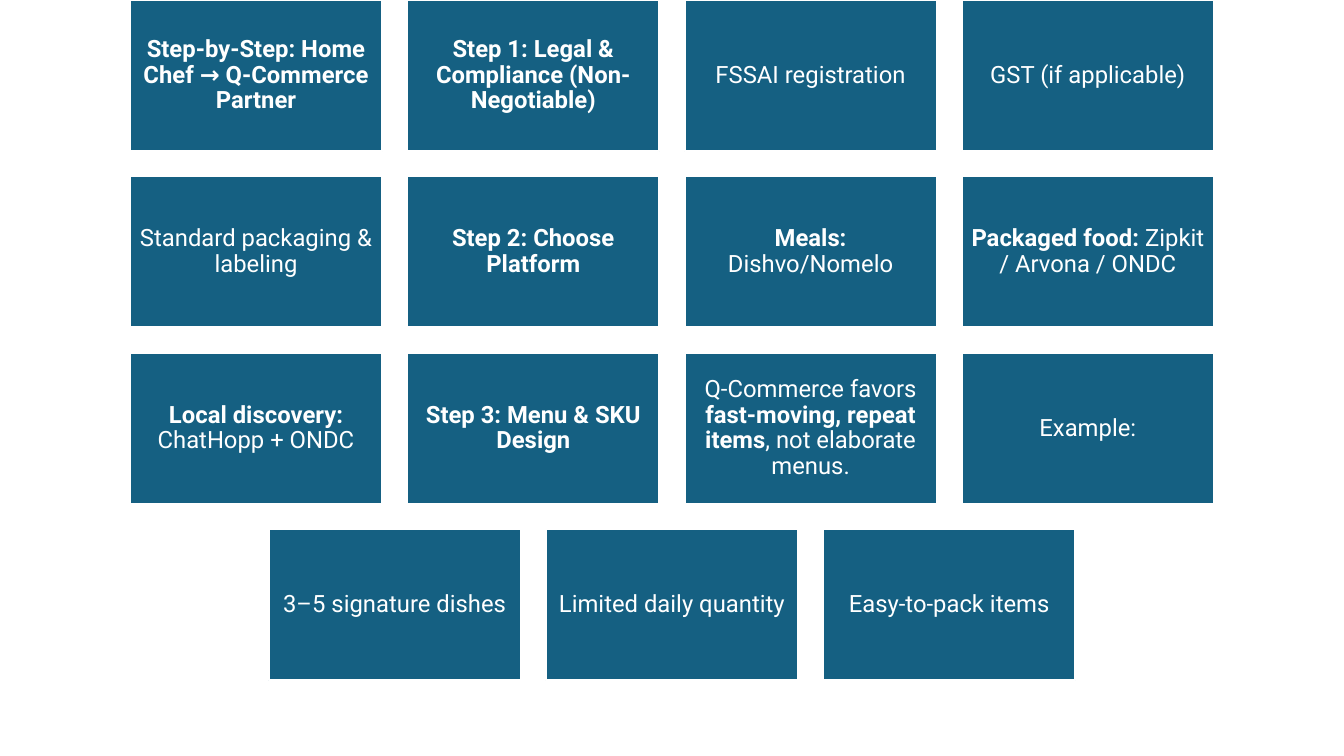
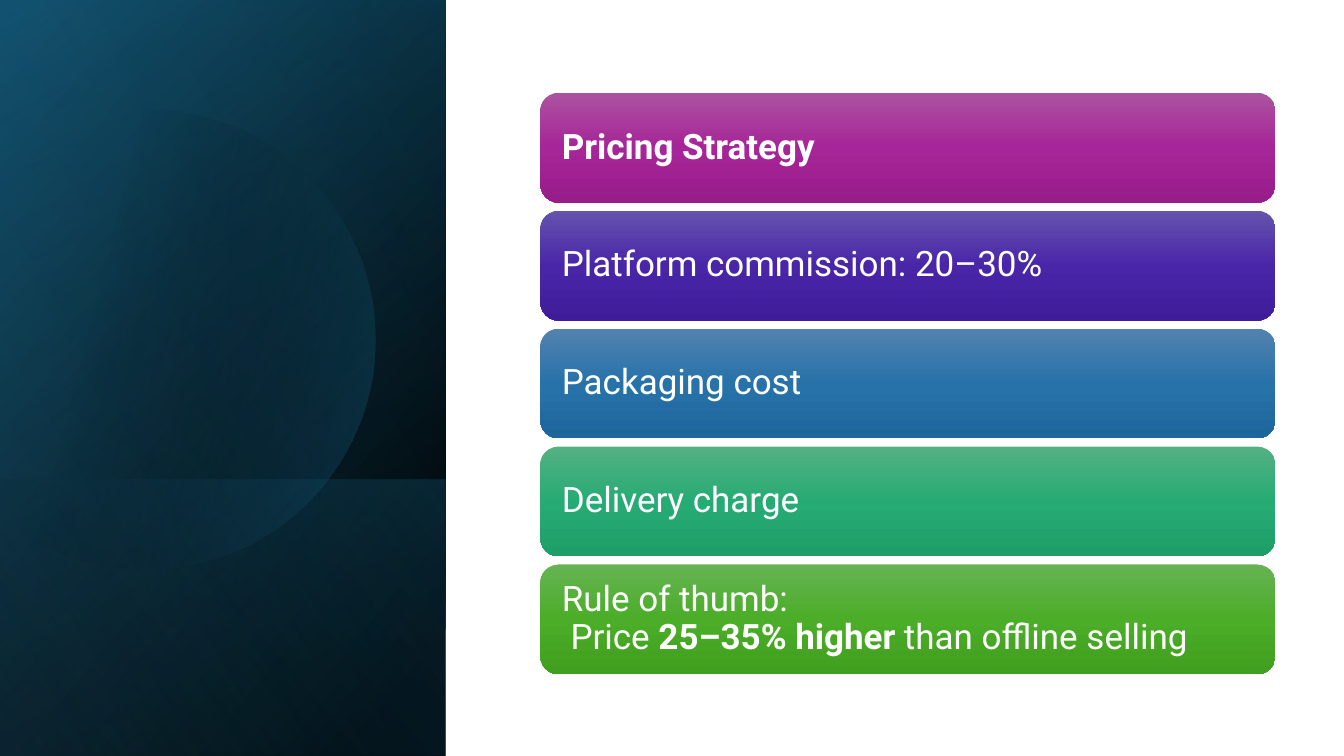
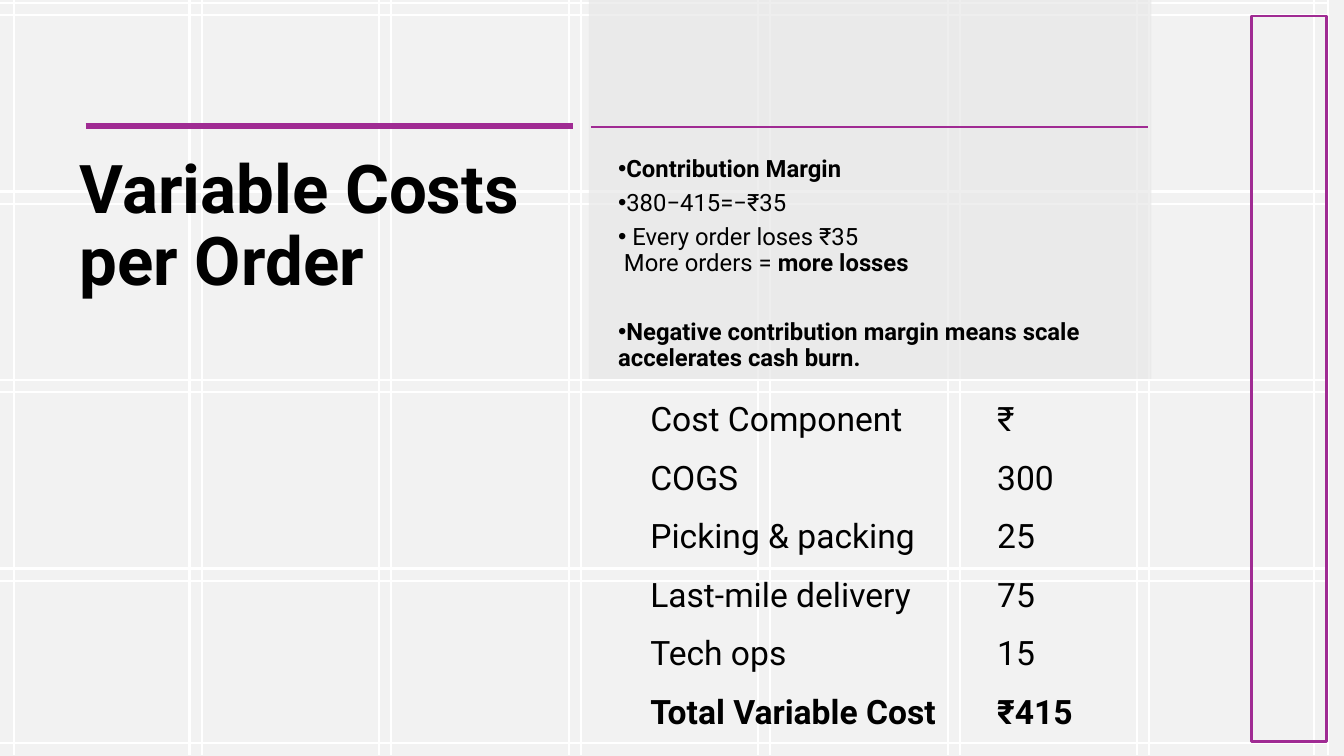
"""Build three slides on home chefs in quick commerce: steps, pricing and unit costs."""

from dataclasses import dataclass
from math import acos, cos, sin

from lxml.etree import SubElement
from pptx import Presentation
from pptx.dml.color import RGBColor
from pptx.enum.shapes import MSO_CONNECTOR, MSO_SHAPE
from pptx.enum.text import MSO_ANCHOR, MSO_AUTO_SIZE, PP_ALIGN
from pptx.oxml import parse_xml
from pptx.oxml.ns import nsdecls, qn
from pptx.util import Inches, Pt


@dataclass(frozen=True)
class Theme:
    font: str = "Roboto"
    white: str = "FFFFFF"
    black: str = "000000"
    blue: str = "156082"
    navy: str = "104862"
    sky: str = "46B1E1"
    plum: str = "A02B93"
    paper: str = "F2F2F2"
    mist: str = "E8E8E8"
    small: int = 17
    table: int = 24
    large: int = 25
    title: int = 48


T = Theme()
WIDE, HIGH = 13.33, 7.5
NO_GRID = "{2D5ABB26-0587-4C30-8999-92F81FD0307C}"


def apply(target, values):
    for name, value in values.items():
        setattr(target, name, value)


def rgb(code):
    return RGBColor.from_string(code)


class Deck:
    def __init__(self):
        self.prs = Presentation()
        apply(self.prs, {"slide_width": Inches(WIDE), "slide_height": Inches(HIGH)})

    def add(self, layout):
        self.slide = self.prs.slides.add_slide(self.prs.slide_layouts[layout])
        self.shapes = self.slide.shapes

    def text(self, para, words, size, color, **form):
        apply(para, {"line_spacing": 0.9, "space_before": Pt(0), **form})
        for i, part in enumerate(words.split("**")):
            for j, line in enumerate(part.split("\n")):
                if j:
                    para.add_line_break()
                if line:
                    run = para.add_run()
                    run.text = line
                    apply(run.font, {"name": T.font, "size": Pt(size), "bold": i % 2 == 1})
                    run.font.color.rgb = rgb(color)

    def frame(self, shape, anchor, sides, ends):
        apply(shape.text_frame, {
            "word_wrap": True, "auto_size": MSO_AUTO_SIZE.NONE, "vertical_anchor": anchor,
            "margin_left": Inches(sides), "margin_right": Inches(sides),
            "margin_top": Inches(ends), "margin_bottom": Inches(ends)})
        return shape.text_frame

    def paint(self, shape, fill=None, line=None, width=1.5, alpha=100):
        shape.shadow.inherit = False
        if fill:
            shape.fill.solid()
            shape.fill.fore_color.rgb = rgb(fill)
            if alpha < 100:
                tone = shape._element.spPr.find(qn("a:solidFill"))[0]
                SubElement(tone, qn("a:alpha")).set("val", str(alpha * 1000))
        else:
            shape.fill.background()
        if line:
            shape.line.color.rgb = rgb(line)
            shape.line.width = Pt(width)
        else:
            shape.line.fill.background()

    def blend(self, shape, stops, angle):
        self.paint(shape)
        marks = "".join(
            f'<a:gs pos="{pos * 1000}"><a:srgbClr val="{color}">'
            f'<a:alpha val="{alpha * 1000}"/></a:srgbClr></a:gs>'
            for pos, color, alpha in stops)
        props = shape._element.spPr
        props.replace(props.find(qn("a:noFill")), parse_xml(
            f'<a:gradFill {nsdecls("a")} rotWithShape="1"><a:gsLst>{marks}</a:gsLst>'
            f'<a:lin ang="{angle * 60000}" scaled="0"/></a:gradFill>'))

    def box(self, at, kind=MSO_SHAPE.RECTANGLE):
        return self.shapes.add_shape(kind, *map(Inches, at))

    def panel(self, at, stops, angle):
        shape = self.box(at)
        self.blend(shape, stops, angle)
        shape.rotation = 90
        shape._element.spPr.xfrm.set("flipH", "1")

    def disc(self, x, y, radius, stops, angle):
        limit, steps = acos(-x / radius), 90
        turns = [limit * (2 * i / steps - 1) for i in range(steps + 1)]
        points = [(Inches(x + radius * cos(a)), Inches(y + radius * sin(a))) for a in turns]
        edge = self.shapes.build_freeform(*points[0])
        edge.add_line_segments(points[1:], close=True)
        self.blend(edge.convert_to_shape(), stops, angle)

    def tile(self, at, words):
        shape = self.box(at)
        self.paint(shape, T.blue, T.white)
        body = self.frame(shape, MSO_ANCHOR.MIDDLE, 0.07, 0.07)
        self.text(body.paragraphs[0], words, T.small, T.white, alignment=PP_ALIGN.CENTER)

    def bar(self, at, words, colors):
        shape = self.box(at, MSO_SHAPE.ROUNDED_RECTANGLE)
        self.blend(shape, [(pos, c, 100) for pos, c in zip((0, 50, 100), colors)], 90)
        body = self.frame(shape, MSO_ANCHOR.MIDDLE, 0.16, 0.1)
        self.text(body.paragraphs[0], words, T.large, T.white, alignment=PP_ALIGN.LEFT)

    def line(self, x1, y1, x2, y2, color, width):
        rule = self.shapes.add_connector(MSO_CONNECTOR.STRAIGHT, *map(Inches, (x1, y1, x2, y2)))
        rule.line.color.rgb = rgb(color)
        rule.line.width = Pt(width)
        SubElement(rule._element.spPr, qn("a:effectLst"))

    def place(self, index, at, anchor):
        shape = self.slide.placeholders[index]
        apply(shape, dict(zip(("left", "top", "width", "height"), map(Inches, at))))
        self.shapes._spTree.append(shape._element)
        return self.frame(shape, anchor, 0.1, 0.05)

    def title(self, at, words):
        body = self.place(0, at, MSO_ANCHOR.TOP)
        self.text(body.paragraphs[0], words, T.title, T.black, alignment=PP_ALIGN.LEFT)

    def bullets(self, at, items):
        body = self.place(1, at, MSO_ANCHOR.MIDDLE)
        for i, (words, gap) in enumerate(items):
            para = body.add_paragraph() if i else body.paragraphs[0]
            props = para._p.get_or_add_pPr()
            props.set("marL", "0")
            props.set("indent", str(-Inches(0.25)))
            SubElement(props, qn("a:buChar")).set("char", "•")
            self.text(para, words, T.small, T.black, space_before=Pt(gap), space_after=Pt(6))

    def table(self, at, widths, rows):
        grid = self.shapes.add_table(len(rows), len(widths), *map(Inches, at)).table
        apply(grid, {"first_row": False, "horz_banding": False})
        grid._tbl.tblPr.find(qn("a:tableStyleId")).text = NO_GRID
        for col, width in zip(grid.columns, widths):
            col.width = Inches(width)
        for r, row in enumerate(rows):
            for c, words in enumerate(row):
                cell = grid.cell(r, c)
                cell.fill.background()
                apply(cell, {
                    "vertical_anchor": MSO_ANCHOR.MIDDLE,
                    "margin_left": Inches(0.13), "margin_right": Inches(0.13),
                    "margin_top": Inches(0.07), "margin_bottom": Inches(0.07)})
                self.text(cell.text_frame.paragraphs[0], words, T.table, T.black, line_spacing=1.0)


def steps(deck):
    deck.add(6)
    rows = [
        ["**Step-by-Step: Home Chef → Q-Commerce Partner**",
         "**Step 1: Legal & Compliance (Non-Negotiable)**",
         "FSSAI registration", "GST (if applicable)"],
        ["Standard packaging & labeling", "**Step 2: Choose Platform**",
         "**Meals:** Dishvo/Nomelo", "**Packaged food:** Zipkit / Arvona / ONDC"],
        ["**Local discovery:** ChatHopp + ONDC", "**Step 3: Menu & SKU Design**",
         "Q-Commerce favors **fast-moving, repeat items**, not elaborate menus.", "Example:"],
        ["3–5 signature dishes", "Limited daily quantity", "Easy-to-pack items"],
    ]
    wide, high, gap = 2.5, 1.5, 0.25
    for r, row in enumerate(rows):
        left = (WIDE - len(row) * (wide + gap) + gap) / 2
        for c, words in enumerate(row):
            deck.tile((left + c * (wide + gap), r * (high + gap), wide, high), words)


def pricing(deck):
    deck.add(6)
    side = (-1.54, 1.54, 7.5, 4.42)
    deck.panel(side, [(8, T.black, 100), (100, T.navy, 100)], 50)
    deck.panel(side, [(0, T.black, 0), (99, T.blue, 46)], 30)
    deck.panel((0.84, 3.92, 2.74, 4.42), [(2, T.blue, 29), (100, T.black, 30)], 130)
    deck.disc(1.44, 3.37, 2.28, [(29, T.black, 0), (100, T.blue, 43)], 14)
    deck.panel(side, [(0, T.black, 0), (99, T.sky, 11)], 120)
    bars = [
        ("**Pricing Strategy**", ("AC53A0", "A62598", "991C8B")),
        ("Platform commission: 20–30%", ("6553AE", "4926A8", "3E1C9A")),
        ("Packaging cost", ("5382AF", "2772A9", "1D669C")),
        ("Delivery charge", ("54B183", "27AB74", "1E9E68")),
        ("Rule of thumb:\n Price **25–35% higher** than offline selling",
         ("66B354", "4BAD28", "409F1E")),
    ]
    for i, (words, colors) in enumerate(bars):
        deck.bar((5.36, 0.92 + 1.17 * i, 7.29, 1.09), words, colors)


def costs(deck):
    deck.add(1)
    deck.paint(deck.box((0, 0, WIDE, HIGH)), T.paper)
    for y in [0.03 + 1.87 * k + d for k in range(4) for d in (0, 0.12)] + [7.37]:
        deck.line(0, y, 13.17, y, T.white, 1.5)
    for x in [1.88 * k + d for k in range(1, 7) for d in (0, 0.12)] + [0.14, 13.03, 13.17]:
        deck.line(x, 0, x, 7.49, T.white, 1.5)
    deck.title((0.69, 1.49, 5, 5.82), "**Variable Costs per Order**")
    deck.line(0.85, 1.25, 5.68, 1.25, T.plum, 4)
    deck.paint(deck.box((5.84, 0, 5.58, 3.76)), T.mist, alpha=70)
    deck.line(5.86, 1.26, 11.39, 1.26, T.plum, 2)
    deck.bullets((6.03, 1.49, 5.16, 2.26), [
        ("**Contribution Margin**", 0),
        ("380−415=−₹35", 0),
        (" Every order loses ₹35\n More orders = **more losses**", 0),
        ("**Negative contribution margin means scale accelerates cash burn.**", 25),
    ])
    deck.paint(deck.box((12.41, 0.16, 0.75, 7.2)), line=T.plum, width=2)
    deck.table((6.32, 3.88, 4.63, 3.48), (3.44, 1.19), [
        ("Cost Component", "₹"),
        ("COGS", "300"),
        ("Picking & packing", "25"),
        ("Last-mile delivery", "75"),
        ("Tech ops", "15"),
        ("**Total Variable Cost**", "**₹415**"),
    ])


def main():
    deck = Deck()
    for build in (steps, pricing, costs):
        build(deck)
    deck.prs.save("out.pptx")


if __name__ == "__main__":
    main()
